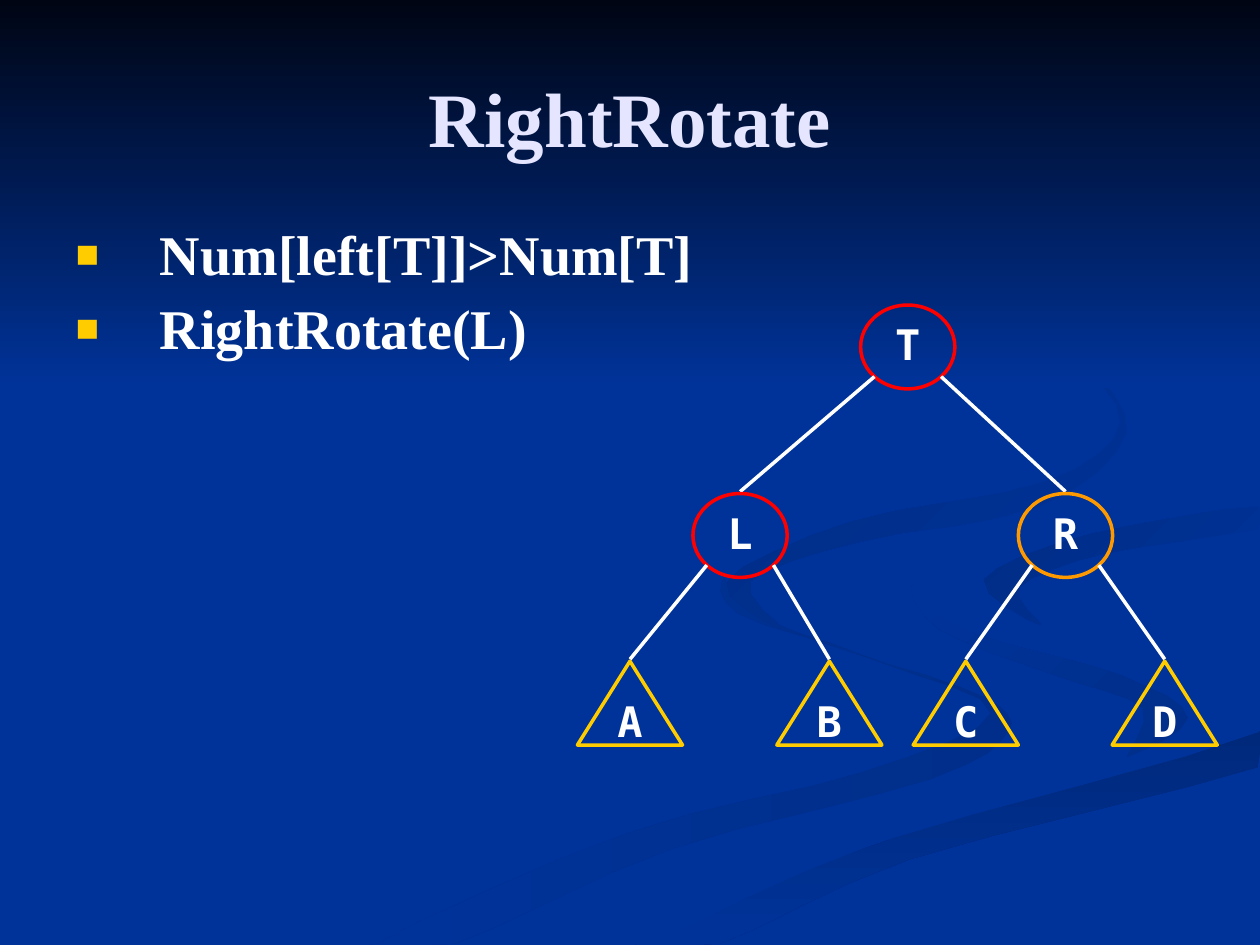
from dataclasses import dataclass
from math import cos, pi, sin

from lxml.etree import SubElement
from pptx import Presentation
from pptx.dml.color import RGBColor
from pptx.enum.shapes import MSO_CONNECTOR, MSO_SHAPE
from pptx.enum.text import MSO_ANCHOR, MSO_AUTO_SIZE, PP_ALIGN
from pptx.oxml.ns import qn
from pptx.slide import Slide
from pptx.util import Cm, Pt

COLORS = {
    "blue": "003399", "night": "000514", "lavender": "E5E5FF", "white": "FFFFFF",
    "red": "FF0000", "orange": "FF9900", "gold": "FFCC00",
    "shade_low": "002E8A", "shade_band": "00297C",
    "shade_right": "002C85", "shade_top": "002B81",
}
SERIF = "Times New Roman"
MONO = "DejaVu Sans Mono"
HUNDREDTH_INCH = Cm(0.0254)
CURVE_STEPS = 4
NODE_HEIGHT = 1.69
NODE_WIDTH = {MSO_SHAPE.OVAL: 1.9, MSO_SHAPE.ISOSCELES_TRIANGLE: 2.12}


@dataclass(frozen=True)
class Ribbon:
    start: str
    end: str
    angle: int
    knots: tuple[tuple[int, int], ...]


@dataclass(frozen=True)
class Node:
    label: str
    center: float
    top: float
    color: str
    kind: MSO_SHAPE = MSO_SHAPE.OVAL
    children: tuple["Node", ...] = ()


RIBBONS = (
    Ribbon("shade_low", "blue", 180, (
        (781, 553), (682, 519), (594, 485), (575, 459), (586, 487), (697, 525),
        (786, 566), (684, 613), (499, 661), (300, 749), (361, 749), (532, 674),
        (740, 618), (800, 581))),
    Ribbon("shade_low", "blue", 225, (
        (943, 570), (888, 535), (774, 503), (724, 464), (746, 500), (838, 536),
        (907, 562), (894, 605))),
    Ribbon("shade_band", "blue", 90, (
        (503, 749), (571, 749), (722, 682), (998, 609), (998, 581), (764, 647),
        (599, 706))),
    Ribbon("blue", "blue", 0, (
        (725, 464), (775, 503), (889, 535), (943, 570), (869, 611), (663, 668),
        (477, 749), (519, 747), (696, 669), (999, 581), (999, 538), (848, 503),
        (781, 463), (865, 424), (999, 402), (999, 387), (808, 417))),
    Ribbon("blue", "shade_right", 225, (
        (781, 460), (826, 496), (809, 466), (878, 439), (998, 420), (998, 402),
        (865, 424))),
    Ribbon("blue", "shade_top", 225, (
        (683, 430), (825, 402), (894, 344), (854, 283), (762, 233), (846, 279),
        (889, 335), (830, 382), (676, 414), (577, 462), (622, 500), (596, 461))),
)


def leaf(label: str, center: float) -> Node:
    return Node(label, center, 13.33, "gold", MSO_SHAPE.ISOSCELES_TRIANGLE)


TREE = Node("T", 18.3, 6.15, "red", children=(
    Node("L", 14.92, 9.95, "red", children=(leaf("A", 12.7), leaf("B", 16.72))),
    Node("R", 21.48, 9.95, "orange", children=(leaf("C", 19.47), leaf("D", 23.48))),
))


def rgb(name: str) -> RGBColor:
    return RGBColor.from_string(COLORS[name])


def add_run(paragraph, text: str, font: str, size: int, color: str) -> None:
    run = paragraph.add_run()
    run.text = text
    run.font.name = font
    run.font.size = Pt(size)
    run.font.bold = True
    run.font.color.rgb = rgb(color)


def blend(a: float, b: float, c: float, d: float, t: float) -> float:
    return b + t / 2 * (c - a + t * (2 * a - 5 * b + 4 * c - d + t * (3 * (b - c) + d - a)))


def smooth(knots: tuple[tuple[int, int], ...]) -> list[tuple[float, float]]:
    curve = []
    for index in range(len(knots)):
        near = [knots[(index + offset) % len(knots)] for offset in (-1, 0, 1, 2)]
        for step in range(CURVE_STEPS):
            x, y = (blend(*axis, step / CURVE_STEPS) for axis in zip(*near))
            curve.append((min(x, 1000), min(y, 750)))
    return curve


def shade(band, start: str, end: str, angle: int) -> None:
    band.shadow.inherit = False
    band.line.fill.background()
    if start == end:
        band.fill.solid()
        band.fill.fore_color.rgb = rgb(start)
        return
    band.fill.gradient()
    band.fill.gradient_angle = 360 - angle
    for stop, position, color in zip(band.fill.gradient_stops, (0, 1), (start, end)):
        stop.position = position
        stop.color.rgb = rgb(color)


def draw_ribbon(slide: Slide, ribbon: Ribbon) -> None:
    first, *rest = smooth(ribbon.knots)
    builder = slide.shapes.build_freeform(*first, scale=HUNDREDTH_INCH)
    builder.add_line_segments(rest, close=True)
    shade(builder.convert_to_shape(), ribbon.start, ribbon.end, ribbon.angle)


def draw_branch(slide: Slide, parent: Node, child: Node) -> None:
    side = -1 if child.center < parent.center else 1
    branch = slide.shapes.add_connector(
        MSO_CONNECTOR.STRAIGHT,
        Cm(parent.center + side * NODE_WIDTH[parent.kind] / 2 * cos(pi / 4)),
        Cm(parent.top + NODE_HEIGHT / 2 * (1 + sin(pi / 4))),
        Cm(child.center), Cm(child.top - 0.04))
    branch.line.color.rgb = rgb("white")
    branch.line.width = Pt(2)
    SubElement(branch._element.spPr, qn("a:effectLst"))


def draw_node(slide: Slide, node: Node) -> None:
    width = NODE_WIDTH[node.kind]
    outline = slide.shapes.add_shape(
        node.kind, Cm(node.center - width / 2), Cm(node.top), Cm(width), Cm(NODE_HEIGHT))
    outline.shadow.inherit = False
    outline.fill.background()
    outline.line.color.rgb = rgb(node.color)
    outline.line.width = Pt(2)
    frame = outline.text_frame
    frame.word_wrap = False
    frame.vertical_anchor = MSO_ANCHOR.MIDDLE
    label = frame.paragraphs[0]
    label.alignment = PP_ALIGN.CENTER
    label.line_spacing = 0.9
    add_run(label, node.label, MONO, 24, "white")
    for child in node.children:
        draw_branch(slide, node, child)
        draw_node(slide, child)


def place(slide: Slide, holder, left: float, top: float, width: float, height: float):
    slide.shapes._spTree.append(holder._element)
    holder.left, holder.top = Cm(left), Cm(top)
    holder.width, holder.height = Cm(width), Cm(height)
    holder.text_frame.auto_size = MSO_AUTO_SIZE.NONE
    return holder.text_frame


def add_bullet(paragraph) -> None:
    properties = paragraph._p.get_or_add_pPr()
    properties.set("marL", str(Cm(1.7)))
    properties.set("indent", str(-Cm(1.7)))
    tint = SubElement(properties, qn("a:buClr"))
    SubElement(tint, qn("a:srgbClr"), val=COLORS["gold"])
    SubElement(properties, qn("a:buSzPct"), val="70000")
    SubElement(properties, qn("a:buFont"), typeface=SERIF)
    SubElement(properties, qn("a:buChar"), char="■")


def main() -> None:
    deck = Presentation()
    deck.slide_width, deck.slide_height = Cm(25.4), Cm(19.05)
    slide = deck.slides.add_slide(deck.slide_layouts[1])
    slide.background.fill.solid()
    slide.background.fill.fore_color.rgb = rgb("blue")
    for ribbon in RIBBONS:
        draw_ribbon(slide, ribbon)
    sky = slide.shapes.add_shape(MSO_SHAPE.RECTANGLE, 0, 0, deck.slide_width, Cm(7.82))
    shade(sky, "night", "blue", 90)

    heading = place(slide, slide.shapes.title, 1.27, 0.76, 22.86, 3.18)
    heading.vertical_anchor = MSO_ANCHOR.MIDDLE
    heading.paragraphs[0].alignment = PP_ALIGN.CENTER
    add_run(heading.paragraphs[0], "RightRotate", SERIF, 44, "lavender")

    draw_node(slide, TREE)

    steps = place(slide, slide.placeholders[1], 1.27, 4.45, 23.5, 12.57)
    for index, step in enumerate(("Num[left[T]]>Num[T]", "RightRotate(L)")):
        paragraph = steps.add_paragraph() if index else steps.paragraphs[0]
        add_bullet(paragraph)
        paragraph.line_spacing = 0.9
        paragraph.space_before = Pt(8 if index else 0)
        add_run(paragraph, step, SERIF, 32, "white")

    deck.save("out.pptx")


if __name__ == "__main__":
    main()
